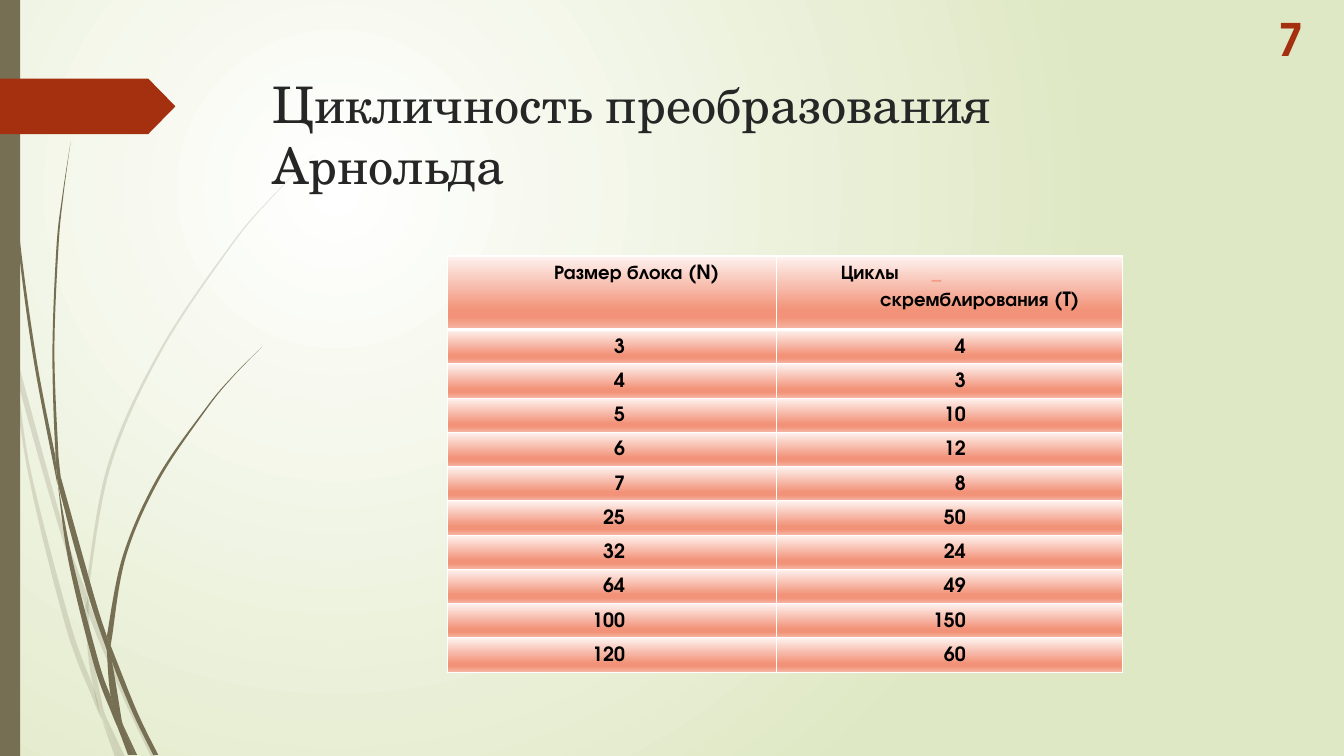
from lxml import etree
from pptx import Presentation
from pptx.dml.color import RGBColor
from pptx.enum.shapes import MSO_SHAPE
from pptx.enum.text import MSO_ANCHOR, PP_ALIGN
from pptx.oxml.ns import qn
from pptx.util import Inches, Pt

TITLE = "Цикличность преобразования Арнольда"
PAGE_NUMBER = "7"
SIZE_HEADING = "Размер блока (N)"
CYCLE_HEADING = ("Циклы", "_", "скремблирования (T)")
CYCLES = [(3, 4), (4, 3), (5, 10), (6, 12), (7, 8),
          (25, 50), (32, 24), (64, 49), (100, 150), (120, 60)]

SERIF = "TeX Gyre Schola"
SANS = "TeX Gyre Adventor"
OLIVE = RGBColor(0x76, 0x6F, 0x54)
RUST = RGBColor(0xA5, 0x30, 0x10)
INK = RGBColor(0x26, 0x26, 0x26)
BLACK = RGBColor(0, 0, 0)
WHITE = RGBColor(0xFF, 0xFF, 0xFF)
CORAL = RGBColor(0xF3, 0x9E, 0x87)
PAGE_STOPS = [(0, WHITE), (100, RGBColor(0xDF, 0xE8, 0xC4))]
CELL_STOPS = [(0, RGBColor(0xFE, 0xF3, 0xF0)), (74, RGBColor(0xF2, 0x92, 0x78)),
              (83, RGBColor(0xF2, 0x92, 0x78)), (100, RGBColor(0xF6, 0xB6, 0xA5))]

COLUMN_WIDTHS = (3.26, 3.43)
NUMBER_MARGINS = (1.5, 1.55)
HEADER_HEIGHT, ROW_HEIGHT = 0.73, 0.34

PALE_BLADES = [
    ([(0, 2.82), (0.09, 3.22), (0.11, 3.5)], [(0.1, 3.44), (0, 2.99)]),
    ([(0.14, 3.45), (0.17, 3.76), (0.58, 5.22), (0.84, 5.99)],
     [(0.85, 5.86), (0.62, 5.2), (0.14, 3.45)]),
    ([(0.88, 5.96), (0.88, 6.1), (1.23, 6.94), (1.5, 7.51)],
     [(1.55, 7.51), (1.27, 6.92), (0.92, 6.07), (0.88, 5.96)]),
    ([(1.05, 7.11), (1.19, 7.51)], [(1.24, 7.51), (1.05, 7.11)]),
    ([(0.11, 3.5), (0.28, 4.7), (0.65, 6.21), (0.92, 6.93), (1.01, 7.14)],
     [(0.99, 7.07), (0.93, 6.83), (0.7, 6.19), (0.31, 4.69), (0.17, 3.76), (0.11, 3.5)]),
    ([(0.84, 5.99), (0.87, 6.46), (0.93, 6.83), (1.05, 7.11)],
     [(1.03, 7.06), (0.91, 6.46), (0.88, 6.1), (0.84, 5.99)]),
    ([(3.12, 1.53), (2.68, 1.97), (2.28, 2.44), (1.58, 3.48), (1.07, 4.61), (0.85, 5.84)],
     [(0.88, 5.96), (0.88, 5.84), (1.1, 4.62), (1.6, 3.49), (2.29, 2.45), (2.68, 1.98),
      (3.12, 1.53)]),
    ([(1.01, 7.14), (1.14, 7.51)], [(1.19, 7.51), (1.01, 7.14)]),
    ([(0.85, 5.86), (0.84, 5.99)], [(0.88, 6.1), (0.88, 5.96)]),
    ([(0.93, 6.83), (0.99, 7.07), (1.19, 7.51)], [(1.05, 7.11), (0.96, 6.92)]),
]
DARK_BLADES = [
    ([(0.03, 0), (0.07, 1.1), (0.17, 2.33), (0.33, 3.55), (0.57, 4.81)],
     [(0.55, 4.53), (0.36, 3.55), (0.19, 2.32), (0.08, 1.09), (0.04, 0)]),
    ([(0.6, 4.72), (0.64, 5.05), (0.88, 5.92), (1.06, 6.45)],
     [(1.06, 6.31), (0.93, 5.9), (0.6, 4.72)]),
    ([(1.1, 6.41), (1.11, 6.56), (1.32, 7.08), (1.52, 7.49)],
     [(1.57, 7.49), (1.36, 7.06), (1.1, 6.41)]),
    ([(0.57, 4.77), (0.68, 5.57), (0.93, 6.59), (1.11, 7.08), (1.17, 7.22)],
     [(1.1, 6.91), (0.98, 6.57), (0.72, 5.56), (0.57, 4.77)]),
    ([(0.7, 1.41), (0.62, 1.93), (0.56, 2.45), (0.52, 3.49), (0.55, 4.49), (0.6, 4.72)],
     [(0.58, 4.53), (0.54, 3.49), (0.58, 2.45), (0.63, 1.93), (0.7, 1.41)]),
    ([(1.22, 7.19), (1.33, 7.49)], [(1.36, 7.49), (1.22, 7.19)]),
    ([(0.55, 4.49), (0.57, 4.77), (0.64, 5.05)], [(0.6, 4.72), (0.55, 4.49)]),
    ([(2.6, 3.44), (2.31, 3.73), (2.04, 4.05), (1.56, 4.74), (1.22, 5.51), (1.06, 6.31)],
     [(1.1, 6.41), (1.11, 6.33), (1.25, 5.52), (1.58, 4.76), (2.05, 4.06), (2.31, 3.74),
      (2.6, 3.44)]),
    ([(1.17, 7.22), (1.27, 7.49)], [(1.31, 7.49), (1.17, 7.22)]),
    ([(1.06, 6.45), (1.1, 6.91), (1.22, 7.19)], [(1.21, 7.16), (1.11, 6.56), (1.06, 6.45)]),
    ([(1.06, 6.31), (1.06, 6.45)], [(1.11, 6.56), (1.1, 6.41)]),
    ([(1.1, 6.91), (1.17, 7.22), (1.3, 7.49)], [(1.33, 7.49), (1.22, 7.19), (1.1, 6.91)]),
]


def curve_handles(knots):
    padded = [knots[0], *knots, knots[-1]]
    return [[tuple(q + (r - p) / 6 for p, q, r in zip(a, b, c)),
             tuple(r - (s - q) / 6 for q, r, s in zip(b, c, d)), c]
            for a, b, c, d in zip(padded, padded[1:], padded[2:], padded[3:])]


def paint(shape, color, opacity=100):
    shape.shadow.inherit = False
    shape.line.fill.background()
    shape.fill.solid()
    shape.fill.fore_color.rgb = color
    if opacity < 100:
        tint = shape.element.spPr.find(".//" + qn("a:srgbClr"))
        etree.SubElement(tint, qn("a:alpha"), val=str(opacity * 1000))


def add_blade(page, out, back, opacity):
    knots = [(Inches(x), Inches(y)) for x, y in out + back]
    builder = page.shapes.build_freeform(*knots[0])
    builder.add_line_segments(knots[1:], close=True)
    blade = builder.convert_to_shape()
    segments = curve_handles(out) + [None] + curve_handles(back)
    for line, handles in zip(list(blade.element.iter(qn("a:lnTo"))), segments):
        if handles:
            bend = etree.Element(qn("a:cubicBezTo"))
            for x, y in handles:
                etree.SubElement(bend, qn("a:pt"), x=str(Inches(x) - blade.left),
                                 y=str(Inches(y) - blade.top))
            line.getparent().replace(line, bend)
    paint(blade, OLIVE, opacity)


def set_gradient(fill, owner, stops, radial=False):
    fill.gradient()
    gradient = owner.find(".//" + qn("a:gradFill"))
    for child in list(gradient):
        gradient.remove(child)
    stop_list = etree.SubElement(gradient, qn("a:gsLst"))
    for position, color in stops:
        stop = etree.SubElement(stop_list, qn("a:gs"), pos=str(position * 1000))
        etree.SubElement(stop, qn("a:srgbClr"), val=str(color))
    if radial:
        circle = etree.SubElement(gradient, qn("a:path"), path="circle")
        etree.SubElement(circle, qn("a:fillToRect"), l="50000", t="50000", r="100000", b="100000")
    else:
        etree.SubElement(gradient, qn("a:lin"), ang="5400000", scaled="0")


def set_borders(cell, top, bottom):
    properties = cell._tc.get_or_add_tcPr()
    widths = {"lnL": 1, "lnR": 1, "lnT": top, "lnB": bottom}
    for index, (side, width) in enumerate(widths.items()):
        border = etree.Element(qn("a:" + side), w=str(Pt(width)))
        solid = etree.SubElement(border, qn("a:solidFill"))
        etree.SubElement(solid, qn("a:srgbClr"), val=str(WHITE))
        properties.insert(index, border)


def style(para, font, size, color, bold=False):
    para.font.name = font
    para.font.size = Pt(size)
    para.font.color.rgb = color
    para.font.bold = bold


def fill_header(size_cell, cycle_cell):
    size_cell.text = SIZE_HEADING
    size_cell.text_frame.paragraphs[0].alignment = PP_ALIGN.CENTER
    size_cell.margin_left, size_cell.margin_right = Inches(0.56), Inches(0.07)
    first, mark, second = CYCLE_HEADING
    cycle_cell.text = first + "\t"
    opening = cycle_cell.text_frame.paragraphs[0]
    span = opening.add_run()
    span.text = mark
    span.font.color.rgb = CORAL
    tabs = etree.SubElement(opening._p.get_or_add_pPr(), qn("a:tabLst"))
    etree.SubElement(tabs, qn("a:tab"), pos=str(Inches(0.9)), algn="l")
    closing = cycle_cell.text_frame.add_paragraph()
    closing.text = second
    closing._p.get_or_add_pPr().set("marL", str(Inches(0.39)))
    cycle_cell.margin_left, cycle_cell.margin_right = Inches(0.64), Inches(0.07)


def add_cycle_table(page):
    height = HEADER_HEIGHT + ROW_HEIGHT * len(CYCLES)
    table = page.shapes.add_table(len(CYCLES) + 1, 2, Inches(4.44), Inches(2.54),
                                  Inches(sum(COLUMN_WIDTHS)), Inches(height)).table
    for column, width in zip(table.columns, COLUMN_WIDTHS):
        column.width = Inches(width)
    for index, row in enumerate(table.rows):
        row.height = Inches(ROW_HEIGHT if index else HEADER_HEIGHT)
    fill_header(table.cell(0, 0), table.cell(0, 1))
    for row, values in enumerate(CYCLES, 1):
        for column, value in enumerate(values):
            cell = table.cell(row, column)
            cell.text = str(value)
            cell.text_frame.paragraphs[0].alignment = PP_ALIGN.RIGHT
            cell.margin_right = Inches(NUMBER_MARGINS[column])
    for index, cell in enumerate(table.iter_cells()):
        row = index // 2
        cell.margin_top = cell.margin_bottom = 0
        cell.vertical_anchor = MSO_ANCHOR.TOP
        set_gradient(cell.fill, cell._tc, CELL_STOPS)
        set_borders(cell, 3 if row == 1 else 1, 1 if row else 3)
        for para in cell.text_frame.paragraphs:
            para.line_spacing = 1.5
            style(para, SANS, 14, BLACK, True)


def main():
    deck = Presentation()
    deck.slide_width, deck.slide_height = Inches(13.33), Inches(7.5)
    page = deck.slides.add_slide(deck.slide_layouts[5])
    set_gradient(page.background.fill, page.element, PAGE_STOPS, radial=True)

    for blades, opacity in ((PALE_BLADES, 20), (DARK_BLADES, 100)):
        for out, back in blades:
            add_blade(page, out, back, opacity)
    paint(page.shapes.add_shape(MSO_SHAPE.RECTANGLE, 0, 0, Inches(0.2), deck.slide_height), OLIVE)
    arrow = page.shapes.add_shape(MSO_SHAPE.PENTAGON, 0, Inches(0.78), Inches(1.74), Inches(0.55))
    arrow.adjustments[0] = 0.49
    paint(arrow, RUST)

    title = page.shapes.title
    title.left, title.top, title.width, title.height = map(Inches, (2.6, 0.68, 9.75, 1.4))
    title.text_frame.text = TITLE
    title.text_frame.vertical_anchor = MSO_ANCHOR.TOP
    title.text_frame.margin_right = Inches(0.3)
    title.text_frame.paragraphs[0].alignment = PP_ALIGN.LEFT
    style(title.text_frame.paragraphs[0], SERIF, 36, INK)

    add_cycle_table(page)

    box = page.shapes.add_textbox(Inches(12.58), Inches(0.07), Inches(0.75), Inches(0.64))
    box.text_frame.word_wrap = True
    box.text_frame.text = PAGE_NUMBER
    style(box.text_frame.paragraphs[0], SANS, 32, RUST, True)
    deck.save("out.pptx")


if __name__ == "__main__":
    main()
